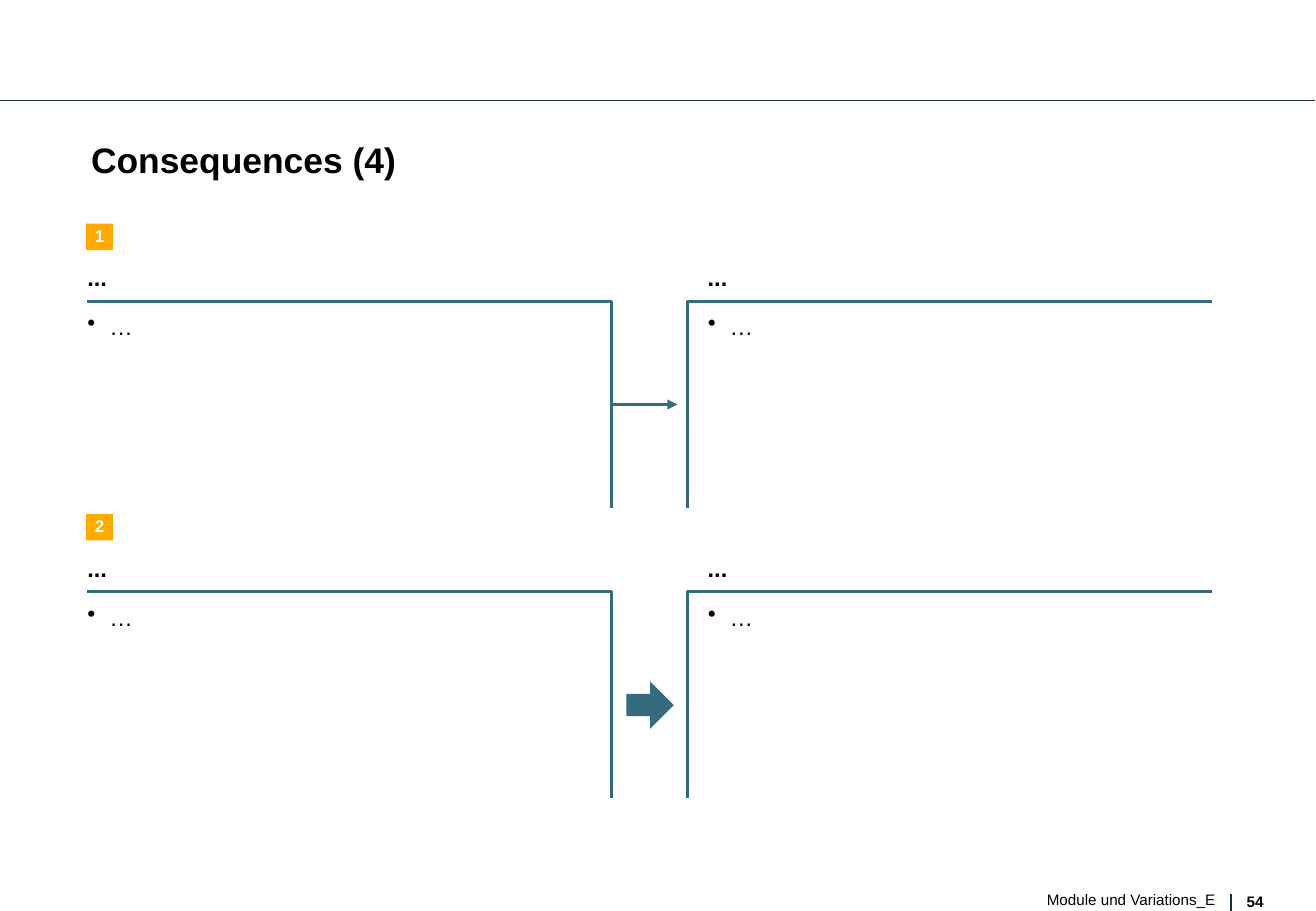
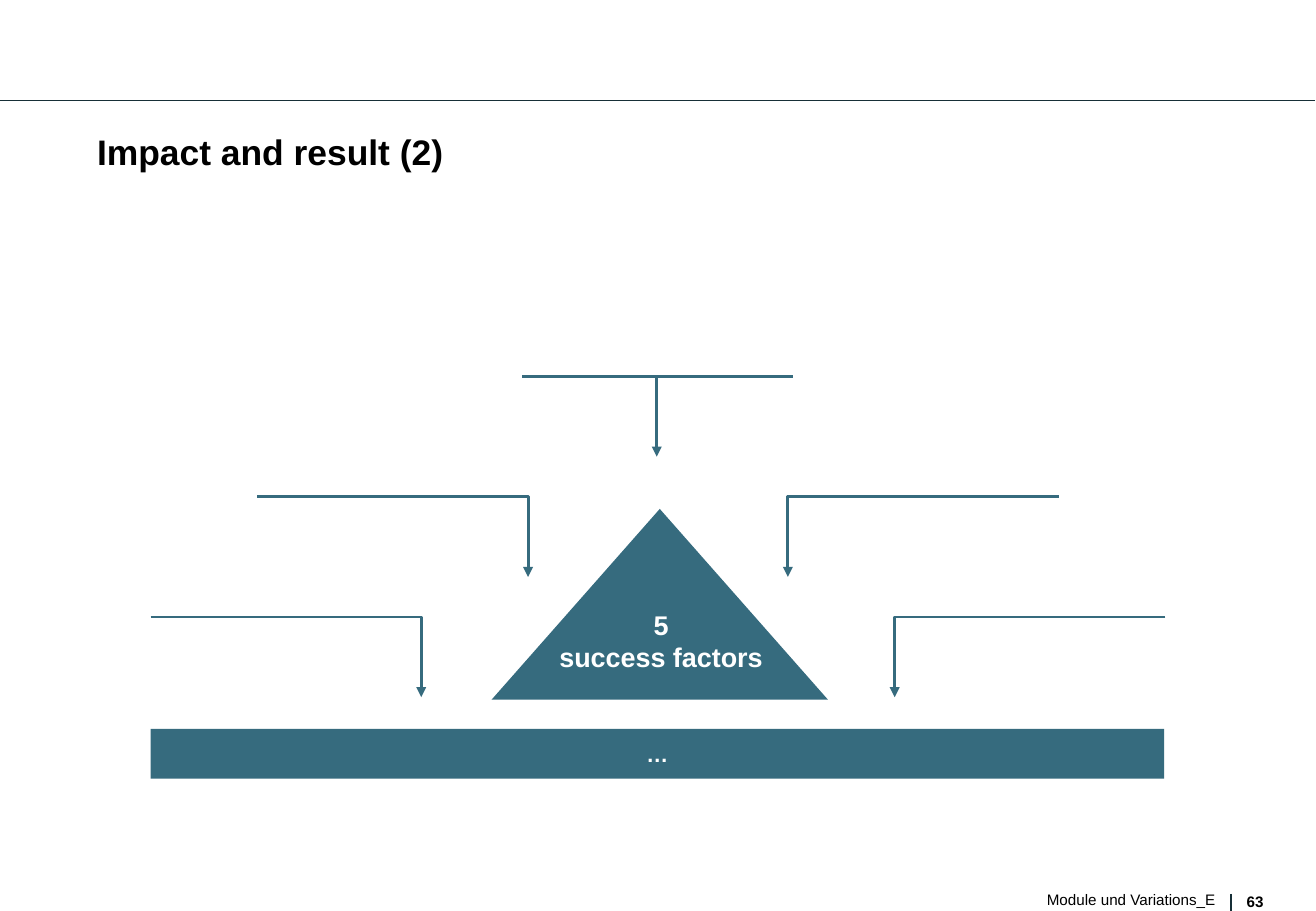
from dataclasses import dataclass

from lxml import etree
from pptx import Presentation
from pptx.dml.color import RGBColor
from pptx.enum.shapes import MSO_CONNECTOR, MSO_SHAPE
from pptx.enum.text import MSO_ANCHOR, PP_ALIGN
from pptx.oxml.ns import qn
from pptx.util import Pt

PX = 9144
STRAIGHT = MSO_CONNECTOR.STRAIGHT
RECTANGLE = MSO_SHAPE.RECTANGLE
TRIANGLE = MSO_SHAPE.ISOSCELES_TRIANGLE
RIGHT_ARROW = MSO_SHAPE.RIGHT_ARROW
LEFT, CENTER, RIGHT = PP_ALIGN.LEFT, PP_ALIGN.CENTER, PP_ALIGN.RIGHT
TOP, MIDDLE = MSO_ANCHOR.TOP, MSO_ANCHOR.MIDDLE


@dataclass(frozen=True)
class Theme:
    """Colours, font and sizes shared by the slides."""
    teal: str = "366B7E"
    amber: str = "FFAA00"
    rule: str = "172F37"
    black: str = "000000"
    white: str = "FFFFFF"
    font: str = "Arial"
    title: int = 21
    factor: int = 16
    body: int = 14
    bar: int = 13
    badge: int = 10
    footer: int = 9
    thin: float = 0.75
    thick: float = 1.75


THEME = Theme()


def rgb(code):
    """Turn a hex code into a colour."""
    return RGBColor.from_string(code)


def px(*lengths):
    """Turn px lengths into EMU."""
    return [length * PX for length in lengths]


def add_bullet(paragraph):
    """Give a paragraph a hanging black bullet."""
    props = paragraph._p.get_or_add_pPr()
    props.set("marL", str(18 * PX))
    props.set("indent", str(-18 * PX))
    colour = etree.SubElement(props, qn("a:buClr"))
    etree.SubElement(colour, qn("a:srgbClr"), val=THEME.black)
    etree.SubElement(props, qn("a:buChar"), char="•")


def write(shape, text, size, colour=THEME.black, bold=False, align=LEFT,
          anchor=TOP, spacing=None, bullet=False, wrap=True):
    """Fill a shape with formatted text without insets."""
    frame = shape.text_frame
    frame.margin_left = frame.margin_right = 0
    frame.margin_top = frame.margin_bottom = 0
    frame.word_wrap = wrap
    frame.vertical_anchor = anchor
    frame.text = text
    for paragraph in frame.paragraphs:
        if bullet:
            add_bullet(paragraph)
        paragraph.alignment = align
        paragraph.line_spacing = spacing
        for run in paragraph.runs:
            run.font.name = THEME.font
            run.font.size = Pt(size)
            run.font.bold = bold
            run.font.color.rgb = rgb(colour)


def add_text(slide, box, text, size, **style):
    """Add a text box at the given px box."""
    write(slide.shapes.add_textbox(*px(*box)), text, size, **style)


def add_block(slide, kind, box, colour):
    """Add a filled preset shape without outline."""
    block = slide.shapes.add_shape(kind, *px(*box))
    block.shadow.inherit = False
    block.fill.solid()
    block.fill.fore_color.rgb = rgb(colour)
    block.line.fill.background()
    return block


def style_line(line, colour, width, arrow):
    """Set colour, width and an optional arrowhead at the end."""
    line.color.rgb = rgb(colour)
    line.width = Pt(width)
    if arrow:
        etree.SubElement(line._get_or_add_ln(), qn("a:tailEnd"), type="triangle")


def add_line(slide, start, end, colour=THEME.teal, width=THEME.thick, arrow=False):
    """Add a straight line between two px points."""
    line = slide.shapes.add_connector(STRAIGHT, *px(*start, *end))
    style_line(line.line, colour, width, arrow)
    etree.SubElement(line._element.spPr, qn("a:effectLst"))


def add_elbow(slide, outer, corner, drop, arrow=False):
    """Add an open right angle from its outer end past the corner and down."""
    x, y = corner
    builder = slide.shapes.build_freeform(outer, y, scale=PX)
    builder.add_line_segments([corner, (x, y + drop)], close=False)
    elbow = builder.convert_to_shape()
    elbow.shadow.inherit = False
    elbow.fill.background()
    style_line(elbow.line, THEME.teal, THEME.thick, arrow)


def add_base(deck, title, title_box, number):
    """Add a slide with its header rule, title and footer."""
    slide = deck.slides.add_slide(deck.slide_layouts[6])
    add_line(slide, (0, 83), (1083, 83), THEME.rule, THEME.thin)
    add_line(slide, (1014, 736), (1014, 750), THEME.rule, THEME.thin)
    add_text(slide, (1027, 735, 17, 14), number, THEME.footer, bold=True)
    add_text(slide, (622, 733, 379, 15), "Module und Variations_E",
             THEME.footer, align=RIGHT, spacing=Pt(11))
    add_text(slide, title_box, title, THEME.title, bold=True, spacing=0.93)
    return slide


def add_consequence(slide, number, top):
    """Add a numbered row with cause and consequence panels."""
    badge = add_block(slide, RECTANGLE, (71, top, 22, 22), THEME.amber)
    write(badge, number, THEME.badge, colour=THEME.white, bold=True,
          align=CENTER, anchor=MIDDLE, spacing=0.93, wrap=False)
    for text_left, outer, corner in ((72, 72, 504), (583, 998, 566)):
        add_text(slide, (text_left, top + 33, 414, 23), "...", THEME.body,
                 bold=True, anchor=MIDDLE)
        add_text(slide, (text_left, top + 73, 409, 23), "…", THEME.body, bullet=True)
        add_elbow(slide, outer, (corner, top + 64), 170)


def build_consequences(deck):
    """Build the slide with two consequence rows."""
    slide = add_base(deck, "Consequences (4)", (75, 117, 933, 28), "54")
    first_top, pitch = 184, 239
    for row, number in enumerate("12"):
        add_consequence(slide, number, first_top + row * pitch)
    add_line(slide, (504, 333), (558, 333), arrow=True)
    block_arrow = add_block(slide, RIGHT_ARROW, (516, 561, 39, 39), THEME.teal)
    block_arrow.adjustments[0] = 0.47
    block_arrow.adjustments[1] = 0.5


def build_impact(deck):
    """Build the slide with five factors around a triangle."""
    slide = add_base(deck, "Impact and result (2)", (80, 110, 936, 72), "63")
    add_block(slide, TRIANGLE, (405, 419, 277, 157), THEME.teal)
    add_text(slide, (452, 501, 185, 53), "5\nsuccess factors", THEME.factor,
             colour=THEME.white, bold=True, align=CENTER, anchor=MIDDLE)
    result_bar = add_block(slide, RECTANGLE, (124, 600, 835, 41), THEME.teal)
    write(result_bar, "…", THEME.bar, colour=THEME.white, bold=True,
          align=CENTER, anchor=MIDDLE)

    axis, top, pitch, span, drop = 542, 310, 99, 223, 66
    add_line(slide, (430, top), (430 + span, top))
    add_line(slide, (541, top), (541, top + drop), arrow=True)
    for level, offset in enumerate((107, 195), start=1):
        for side in (-1, 1):
            corner = axis + side * offset
            add_elbow(slide, corner + side * span, (corner, top + level * pitch),
                      drop, arrow=True)


def main():
    """Build and save the deck."""
    deck = Presentation()
    deck.slide_width, deck.slide_height = px(1084, 750)
    build_consequences(deck)
    build_impact(deck)
    deck.save("out.pptx")


if __name__ == "__main__":
    main()
